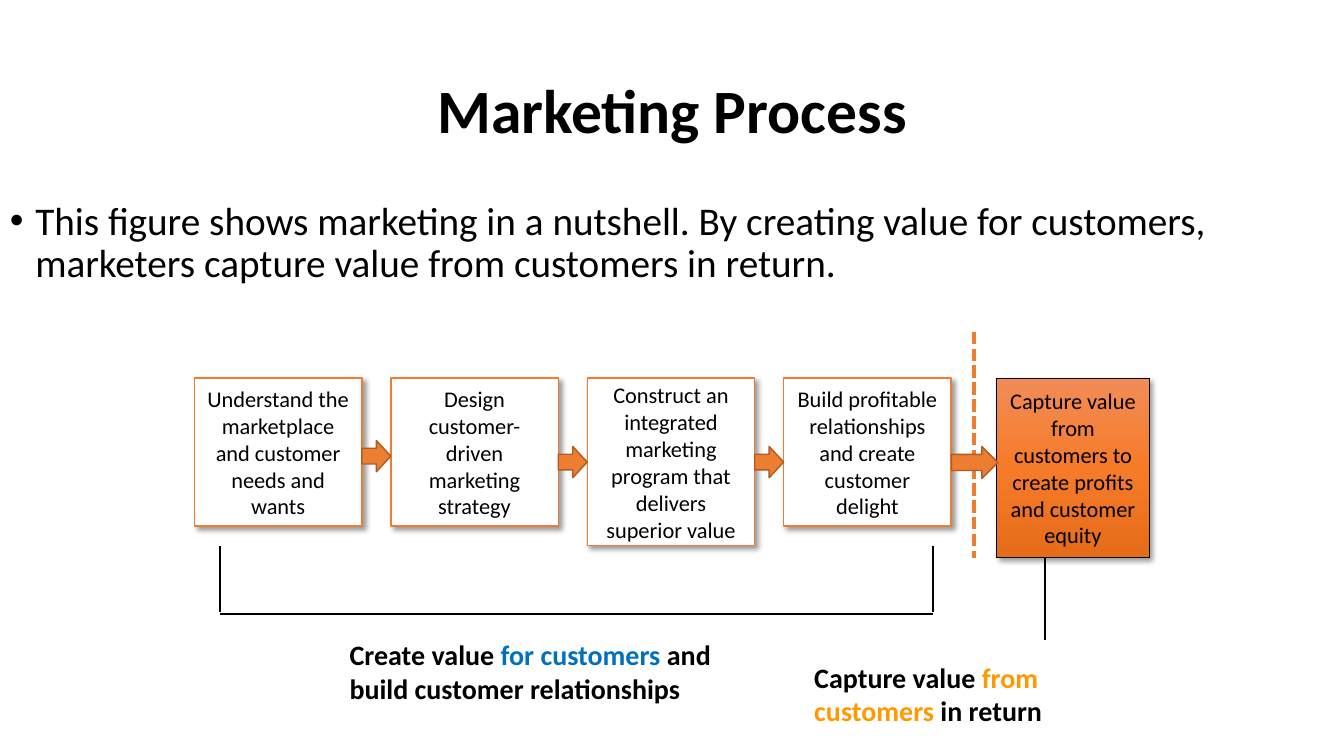
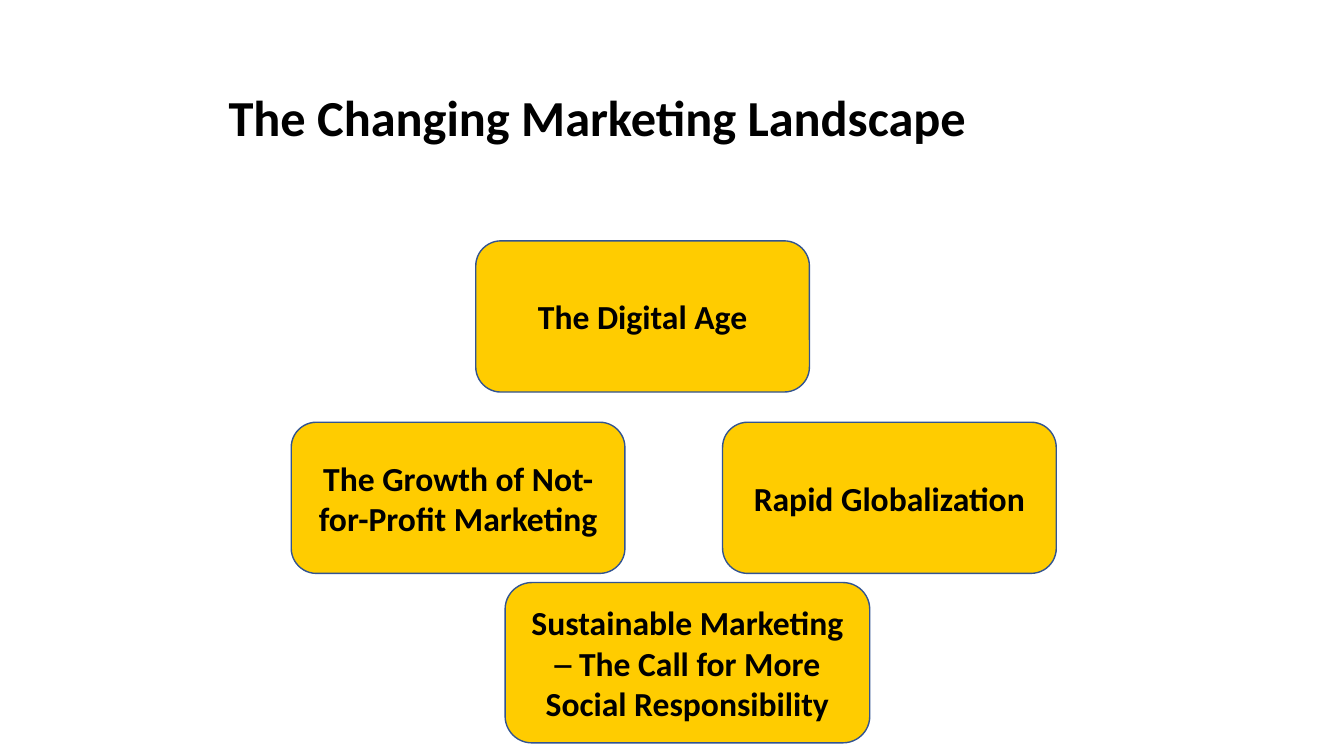
"""Build two slides on the marketing process and the marketing landscape."""
from copy import deepcopy
from dataclasses import dataclass

from lxml import etree
from pptx import Presentation
from pptx.dml.color import RGBColor
from pptx.enum.dml import MSO_LINE
from pptx.enum.shapes import MSO_CONNECTOR, MSO_SHAPE
from pptx.enum.text import MSO_ANCHOR, PP_ALIGN
from pptx.oxml.ns import qn
from pptx.util import Cm, Pt

LEFT, CENTER = PP_ALIGN.LEFT, PP_ALIGN.CENTER
TOP, MIDDLE = MSO_ANCHOR.TOP, MSO_ANCHOR.MIDDLE
RECTANGLE, ROUNDED = MSO_SHAPE.RECTANGLE, MSO_SHAPE.ROUNDED_RECTANGLE
RIGHT_ARROW = MSO_SHAPE.RIGHT_ARROW
STRAIGHT, DASH = MSO_CONNECTOR.STRAIGHT, MSO_LINE.SQUARE_DOT


@dataclass(frozen=True)
class Theme:
    font: str = "Calibri"
    ink: str = "000000"
    white: str = "FFFFFF"
    orange: str = "ED7D31"
    arrow_edge: str = "AF5C24"
    gradient: tuple = ("F18C57", "F67B28", "E56C19")
    blue: str = "0070C0"
    amber: str = "FF9900"
    yellow: str = "FFCC00"
    navy: str = "325491"
    title: int = 44
    small_title: int = 36
    body: int = 28
    topic: int = 24
    caption: int = 20
    step: int = 16
    tight: float = 0.9


THEME = Theme()


def write_text(box, text, *, size, color=THEME.ink, bold=False, align=LEFT,
               anchor=TOP, spacing=1.0, bullet=False):
    """Write a string, or (text, colour) pairs, as one paragraph."""
    frame = box.text_frame
    frame.word_wrap = True
    frame.vertical_anchor = anchor
    para = frame.paragraphs[0]
    para.alignment = align
    para.line_spacing = spacing
    if bullet:
        props = para._p.get_or_add_pPr()
        props.set("marL", str(Cm(0.64)))
        props.set("indent", str(Cm(-0.64)))
        etree.SubElement(props, qn("a:buFont"), typeface="Arial")
        etree.SubElement(props, qn("a:buChar"), char="•")
    pieces = [(text, color)] if isinstance(text, str) else text
    for piece, piece_color in pieces:
        span = para.add_run()
        span.text = piece
        span.font.name = THEME.font
        span.font.size = Pt(size)
        span.font.bold = bold
        span.font.color.rgb = RGBColor.from_string(piece_color)


class Slides:
    """Hold the deck and the page being drawn."""

    def __init__(self):
        self.deck = Presentation()
        self.deck.slide_width, self.deck.slide_height = Cm(33.87), Cm(19.05)
        self.page = None

    def new_page(self):
        """Start a blank page."""
        self.page = self.deck.slides.add_slide(self.deck.slide_layouts[6])

    def text(self, place, text, **style):
        """Add a text box at (left, top, width, height)."""
        box = self.page.shapes.add_textbox(*map(Cm, place))
        write_text(box, text, **style)

    def title(self, place, text, size=THEME.title, align=CENTER):
        """Add a page title."""
        self.text(place, text, size=size, bold=True, align=align,
                  anchor=MIDDLE, spacing=THEME.tight)

    def shape(self, kind, place, fill, edge, weight=1):
        """Add a preset shape with a plain or graded fill."""
        box = self.page.shapes.add_shape(kind, *map(Cm, place))
        box.shadow.inherit = False
        if isinstance(fill, str):
            box.fill.solid()
            box.fill.fore_color.rgb = RGBColor.from_string(fill)
        else:
            self.grade(box, fill)
        box.line.color.rgb = RGBColor.from_string(edge)
        box.line.width = Pt(weight)
        return box

    def grade(self, box, colors):
        """Fill a shape from top to bottom with evenly spaced colours."""
        box.fill.gradient()
        box.fill.gradient_angle = 270
        stops = box._element.spPr.find(".//" + qn("a:gsLst"))
        for _ in colors[2:]:
            stops.append(deepcopy(stops[0]))
        for index, (stop, color) in enumerate(zip(box.fill.gradient_stops, colors)):
            stop.position = index / (len(colors) - 1)
            stop.color.rgb = RGBColor.from_string(color)

    def step(self, place, text, fill=THEME.white, edge=THEME.orange, weight=1):
        """Add a process step with a soft shadow."""
        box = self.shape(RECTANGLE, place, fill, edge, weight)
        effects = box._element.spPr.find(qn("a:effectLst"))
        shadow = etree.SubElement(
            effects, qn("a:outerShdw"), blurRad=str(Pt(4)), dist=str(Pt(3)),
            dir="2700000", algn="tl", rotWithShape="0")
        tone = etree.SubElement(shadow, qn("a:srgbClr"), val=THEME.ink)
        etree.SubElement(tone, qn("a:alpha"), val="40000")
        write_text(box, text, size=THEME.step, align=CENTER, anchor=MIDDLE)

    def arrow(self, place):
        """Add a block arrow between steps."""
        self.shape(RIGHT_ARROW, place, THEME.orange, THEME.arrow_edge)

    def topic(self, place, text):
        """Add a rounded topic box."""
        box = self.shape(ROUNDED, place, THEME.yellow, THEME.navy)
        write_text(box, text, size=THEME.topic, bold=True, align=CENTER,
                   anchor=MIDDLE)

    def line(self, ends, color=THEME.ink, weight=1.5, dash=None):
        """Add a straight line between two points."""
        line = self.page.shapes.add_connector(STRAIGHT, *map(Cm, ends))
        line.line.color.rgb = RGBColor.from_string(color)
        line.line.width = Pt(weight)
        if dash:
            line.line.dash_style = dash
        etree.SubElement(line._element.spPr, qn("a:effectLst"))


def draw_process(slides):
    """Draw the five steps of the marketing process."""
    slides.new_page()
    slides.title((2.34, 1.02, 29.21, 3.68), "Marketing Process")
    slides.text((0, 4.95, 33.87, 14.1),
                "This figure shows marketing in a nutshell. By creating value "
                "for customers, marketers capture value from customers in return.",
                size=THEME.body, spacing=THEME.tight, bullet=True)

    left, top, width, pitch = 4.9, 9.53, 4.22, 4.95
    gap = pitch - width
    steps = (
        ("Understand the marketplace and customer needs and wants", 3.73, None),
        ("Design customer-driven marketing strategy", 3.73, 11.1),
        ("Construct an integrated marketing program that delivers superior value",
         4.22, 11.25),
        ("Build profitable relationships and create customer delight", 3.73, 11.25),
    )
    for index, (text, height, arrow_top) in enumerate(steps):
        step_left = left + index * pitch
        slides.step((step_left, top, width, height), text)
        if arrow_top:
            slides.arrow((step_left - gap, arrow_top, gap, 0.79))

    slides.line((24.54, 8.36, 24.54, 14.05), THEME.orange, 3, DASH)
    slides.step((25.12, top, 3.84, 4.52),
                "Capture value from customers to create profits and customer equity",
                THEME.gradient, THEME.ink, 0.5)
    slides.arrow((23.98, 11.25, 1.17, 0.81))

    bracket_left, bracket_right = 5.54, 23.52
    for side in (bracket_left, bracket_right):
        slides.line((side, 13.77, side, 15.42))
    slides.line((bracket_left, 15.47, bracket_right, 15.47))
    slides.line((26.34, 14.05, 26.34, 16.13))

    captions = (
        ((8.56, 15.95, 11, 1.93), "Create value ", "for customers ", THEME.blue,
         "and build customer relationships"),
        ((20.27, 16.51, 8.59, 1.93), "Capture value ", "from customers",
         THEME.amber, " in return"),
    )
    for place, start, accent, color, end in captions:
        slides.text(place, ((start, THEME.ink), (accent, color), (end, THEME.ink)),
                    size=THEME.caption, bold=True)


def draw_landscape(slides):
    """Draw the four topics of the changing landscape."""
    slides.new_page()
    slides.title((5.51, 1.88, 22.83, 2.31), "The Changing Marketing Landscape",
                 THEME.small_title, LEFT)
    width, height = 8.41, 3.81
    slides.topic((11.99, 6.07, width, height), "The Digital Age")
    slides.topic((7.34, 10.64, width, height),
                 "The Growth of Not-for-Profit Marketing")
    slides.topic((18.21, 10.64, width, height), "Rapid Globalization")
    slides.topic((12.73, 14.68, 9.19, 4.04),
                 "Sustainable Marketing ─ The Call for More Social Responsibility")


def main():
    """Build and save the deck."""
    slides = Slides()
    draw_process(slides)
    draw_landscape(slides)
    slides.deck.save("out.pptx")


if __name__ == "__main__":
    main()
